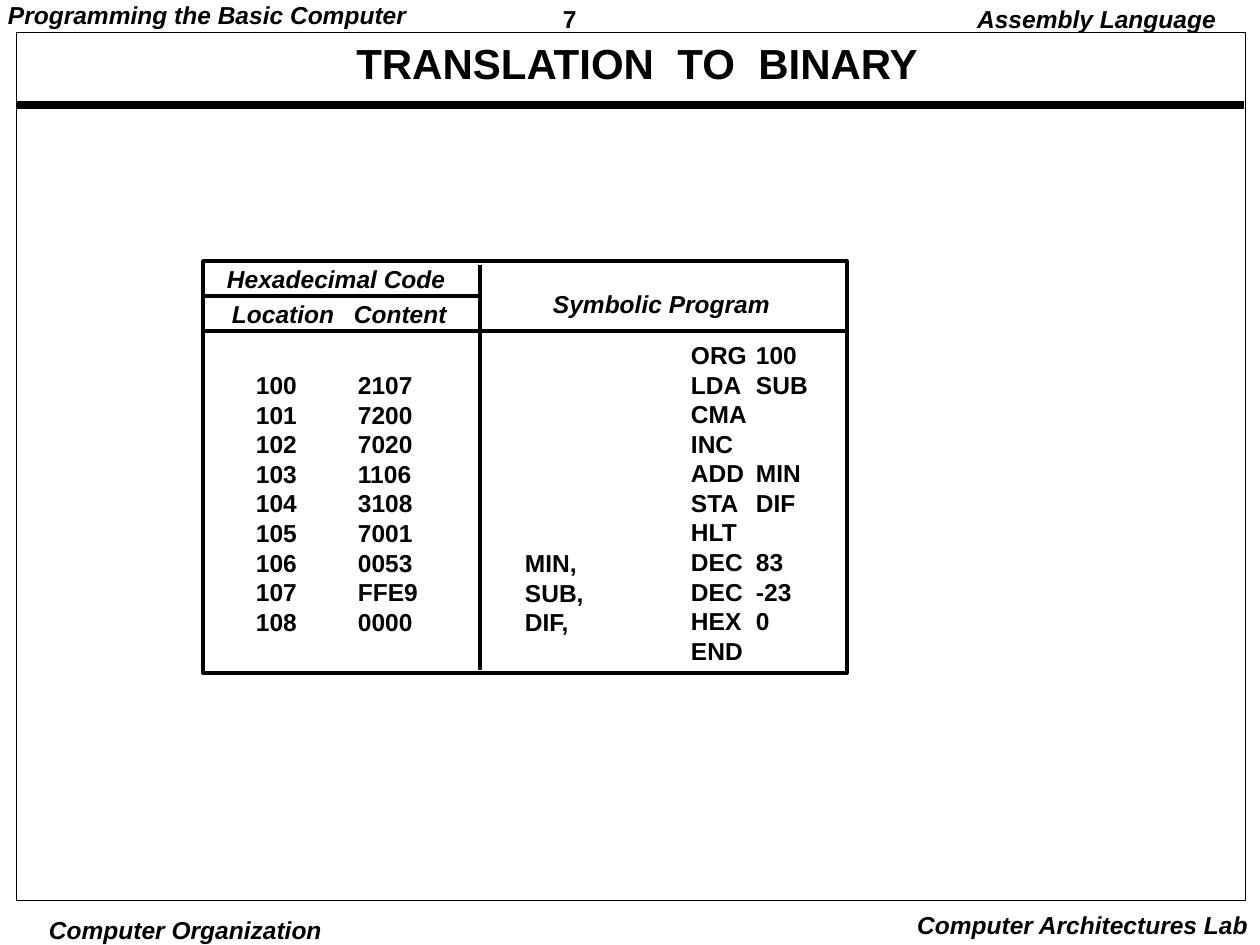
"""Build the slide on translating a symbolic program to binary."""
from pptx import Presentation
from pptx.util import Emu, Pt
from pptx.dml.color import RGBColor
from pptx.enum.shapes import MSO_CONNECTOR as Link, MSO_SHAPE as Form
from pptx.enum.text import MSO_ANCHOR as Anchor, PP_ALIGN as Align
from pptx.oxml.ns import qn
from lxml.etree import SubElement

PX = 914400 / 126
INK = "000000"


def px(*nums):
    return [Emu(round(n * PX)) for n in nums]


def paint(font, size, slant=False):
    font.name, font.size = "Arial", Pt(size)
    font.bold, font.italic = True, slant
    font.color.rgb = RGBColor.from_string(INK)


deck = Presentation()
deck.slide_width, deck.slide_height = px(1260, 945)
slide = deck.slides.add_slide(deck.slide_layouts[5])
shapes = slide.shapes

title = shapes.title
title.left, title.top, title.width, title.height = px(106, 40, 1062, 52)
frame = title.text_frame
frame.vertical_anchor = Anchor.MIDDLE
frame.margin_top, frame.margin_bottom = px(4, 4)
head = frame.paragraphs[0]
head.alignment, head.line_spacing = Align.CENTER, 0.9
for part in ("TRANSLATION", " ", "TO", " ", "BINARY"):
    run = head.add_run()
    run.text = part
    paint(run.font, 24)
    if part == " ":
        run._r.get_or_add_rPr().set("spc", "667")

for x, y, w, h, size in ((16, 33, 1229, 868, 0.5), (203, 261, 644, 412, 2)):
    rect = shapes.add_shape(Form.RECTANGLE, *px(x, y, w, h))
    rect.shadow.inherit = False
    rect.fill.background()
    rect.line.color.rgb = RGBColor.from_string(INK)
    rect.line.width = Pt(size)

lines = (
    (16, 105, 1244, 105, 4.5),
    (202, 331, 849, 331, 2),
    (480, 265, 480, 670, 2),
    (205, 296, 481, 296, 2),
)
for x1, y1, x2, y2, size in lines:
    line = shapes.add_connector(Link.STRAIGHT, *px(x1, y1, x2, y2))
    line.line.color.rgb = RGBColor.from_string(INK)
    line.line.width = Pt(size)
    SubElement(line._element.spPr, qn("a:effectLst"))

words = ["2107", "7200", "7020", "1106", "3108", "7001", "0053", "FFE9", "0000"]
codes = [f"{100 + i}\t{word}" for i, word in enumerate(words)]
steps = ["ORG\t100", "LDA\tSUB", "CMA", "INC", "ADD\tMIN", "STA\tDIF",
         "HLT", "DEC\t83", "DEC\t-23", "HEX\t0", "END"]

texts = (
    (554, 0, 136, ["7"], False, Align.LEFT, 0),
    (-1, -4, 416, ["Programming the Basic Computer"], True, Align.LEFT, 0),
    (872, 0, 357, ["Assembly Language"], True, Align.RIGHT, 0),
    (40, 911, 284, ["Computer Organization"], True, Align.LEFT, 0),
    (904, 906, 357, ["Computer Architectures Lab"], True, Align.RIGHT, 0),
    (218, 260, 236, ["Hexadecimal Code"], True, Align.LEFT, 0),
    (223, 295, 234, ["Location\tContent"], True, Align.LEFT, 122),
    (544, 285, 235, ["Symbolic Program"], True, Align.LEFT, 0),
    (247, 366, 181, codes, False, Align.LEFT, 102),
    (516, 544, 77, ["MIN,", "SUB,", "DIF,"], False, Align.LEFT, 0),
    (682, 336, 133, steps, False, Align.LEFT, 65),
)
for x, y, w, rows, slant, align, tab in texts:
    box = shapes.add_textbox(*px(x, y, w, 8 + 30 * len(rows)))
    frame = box.text_frame
    frame.word_wrap = True
    sides = (0, 13) if align == Align.RIGHT else (9, 0)
    frame.margin_left, frame.margin_right = px(*sides)
    frame.margin_top, frame.margin_bottom = px(4, 4)
    frame.text = "\n".join(rows)
    for para in frame.paragraphs:
        para.alignment, para.line_spacing = align, Pt(16.9)
        if tab:
            stops = SubElement(para._p.get_or_add_pPr(), qn("a:tabLst"))
            SubElement(stops, qn("a:tab"), pos=str(px(tab)[0]), algn="l")
        for run in para.runs:
            paint(run.font, 14, slant)

deck.save("out.pptx")
